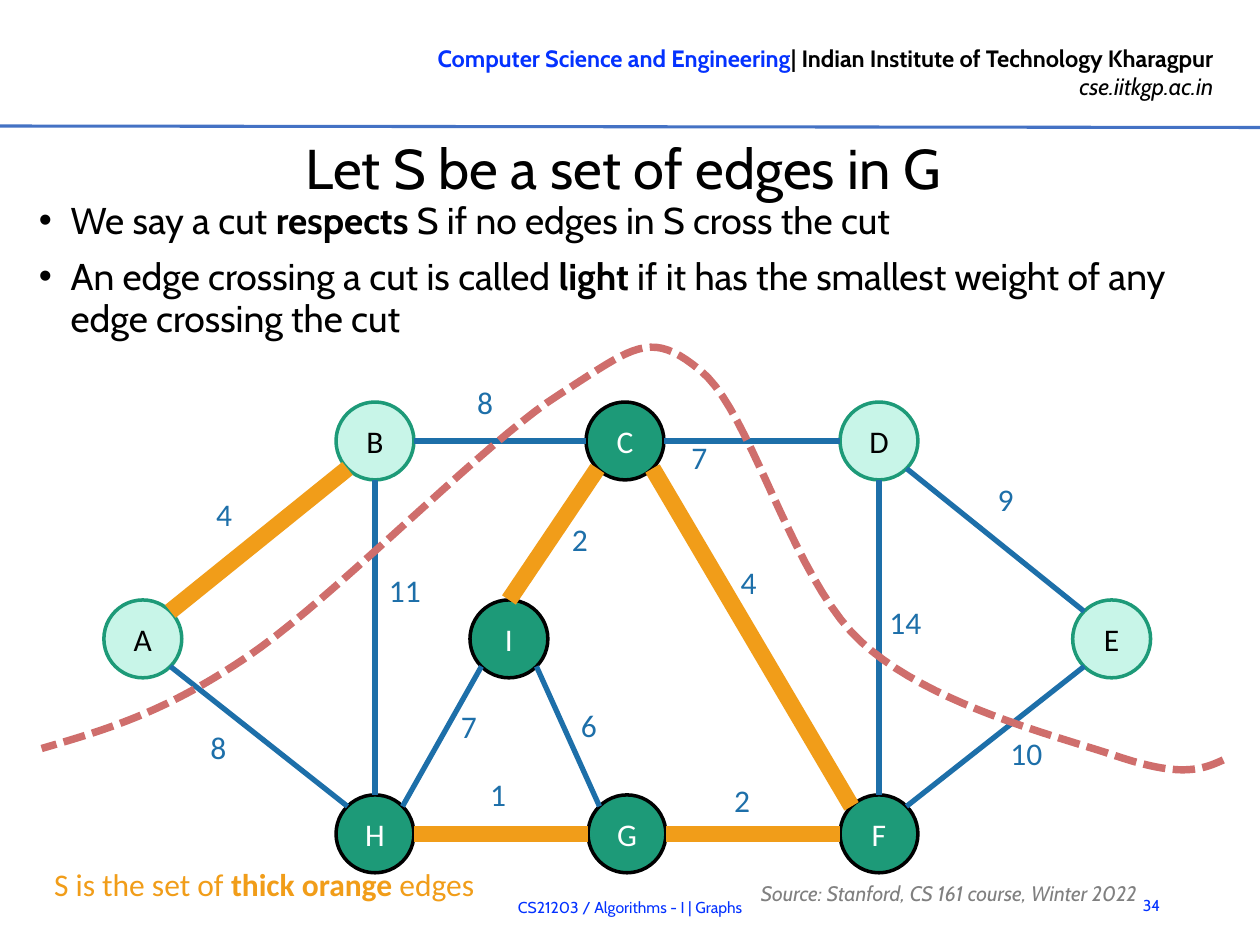
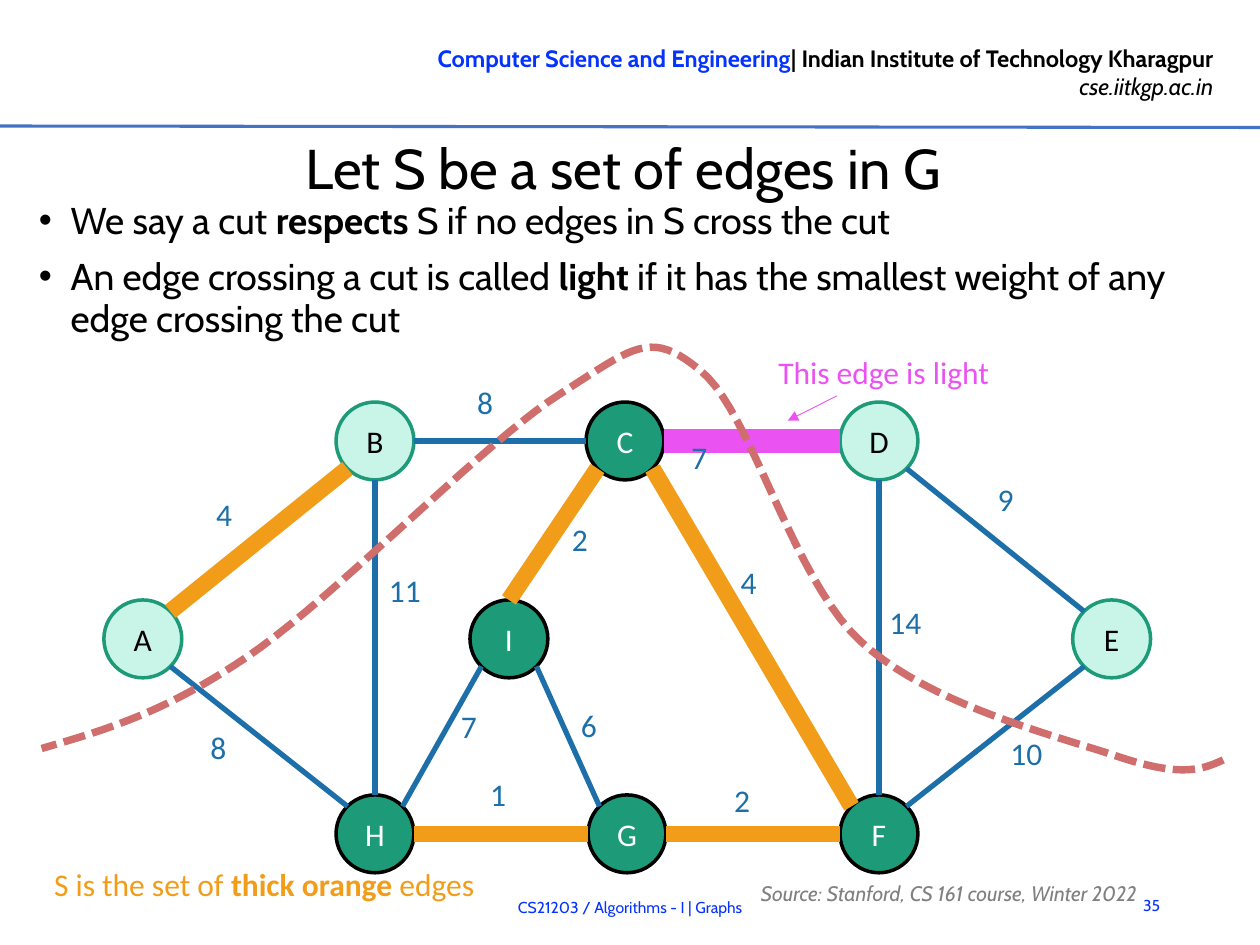
from lxml import etree
from pptx import Presentation
from pptx.dml.color import RGBColor
from pptx.enum.dml import MSO_LINE
from pptx.enum.shapes import MSO_CONNECTOR, MSO_SHAPE
from pptx.enum.text import MSO_ANCHOR, MSO_AUTO_SIZE, PP_ALIGN
from pptx.oxml.ns import qn
from pptx.util import Cm, Pt

LEFT, CENTER, RIGHT = PP_ALIGN.LEFT, PP_ALIGN.CENTER, PP_ALIGN.RIGHT
TOP, MIDDLE = MSO_ANCHOR.TOP, MSO_ANCHOR.MIDDLE
STRAIGHT, OVAL, DASHED = MSO_CONNECTOR.STRAIGHT, MSO_SHAPE.OVAL, MSO_LINE.SQUARE_DOT
FIXED_SIZE = MSO_AUTO_SIZE.NONE

COLORS = {
    name: RGBColor.from_string(value)
    for name, value in {
        "black": "000000",
        "white": "FFFFFF",
        "link": "0432FF",
        "rule": "4472C4",
        "gray": "808080",
        "mint": "C8F5E8",
        "green": "1D9A78",
        "edge": "1D6FA9",
        "orange": "F19D19",
        "pink": "EA53F1",
        "cut": "CF6E6C",
    }.items()
}

RADIUS = 0.785
DIAGONAL = RADIUS * 0.707
SITES = {
    "n": (0, -RADIUS), "s": (0, RADIUS), "w": (-RADIUS, 0), "e": (RADIUS, 0),
    "nw": (-DIAGONAL, -DIAGONAL), "ne": (DIAGONAL, -DIAGONAL),
    "sw": (-DIAGONAL, DIAGONAL), "se": (DIAGONAL, DIAGONAL),
}
NODES = {
    "D": (17.72, 8.89), "C": (12.6, 8.89), "B": (7.56, 8.89),
    "A": (2.88, 12.88), "H": (7.56, 16.81), "G": (12.64, 16.81),
    "F": (17.72, 16.81), "I": (10.26, 12.88), "E": (22.41, 12.88),
}
LIGHT_SIDE = "ABDE"
EDGES = [
    ("C", "se", "F", "nw", "4", 14.68, 11.23),
    ("C", "e", "D", "w", "7", 13.69, 8.71),
    ("E", "nw", "D", "se", "9", 19.86, 9.55),
    ("E", "sw", "F", "ne", "10", 20.12, 14.68),
    ("D", "s", "F", "n", "14", 17.68, 12.04),
    ("I", "se", "G", "nw", "6", 11.46, 14.1),
    ("G", "e", "F", "w", "2", 14.55, 15.62),
    ("I", "n", "C", "sw", "2", 11.28, 10.36),
    ("B", "e", "C", "w", "8", 9.37, 7.59),
    ("A", "ne", "B", "sw", "4", 4.11, 9.86),
    ("A", "se", "H", "nw", "8", 3.99, 14.55),
    ("G", "w", "H", "e", "1", 9.63, 15.49),
    ("I", "sw", "H", "ne", "7", 9.04, 14.12),
    ("H", "n", "B", "s", "11", 7.59, 11.38),
]
THICK_EDGES = {"CF", "GF", "IC", "AB", "GH"}
CUT_START = (24.66, 15.32)
CUT_CURVES = [
    ((24.18, 15.55), (23.72, 15.65), (22.5, 15.24)),
    ((21.29, 14.83), (18.75, 14.22), (17.35, 12.93)),
    ((15.95, 11.63), (15.14, 8.28), (14.12, 7.47)),
    ((13.11, 6.63), (12.78, 6.99), (11.28, 7.95)),
    ((9.75, 8.92), (6.76, 12.04), (5, 13.23)),
    ((3.28, 14.4), (2.06, 14.73), (0.84, 15.09)),
]
CURVE_STEPS = 20


def write(page, text, at, box=None, size=18, color="edge", font="Calibri", align=LEFT,
          anchor=TOP, italic=False, spacing=None, gap=0, bullets=False, margins=True):
    if box is None:
        box = page.shapes.add_textbox(0, 0, 0, 0)
    box.left, box.top, box.width, box.height = [Cm(length) for length in at]
    frame = box.text_frame
    frame.word_wrap = True
    frame.auto_size = FIXED_SIZE
    frame.vertical_anchor = anchor
    if not margins:
        frame.margin_left = frame.margin_right = frame.margin_top = frame.margin_bottom = 0
    for index, line in enumerate(text.split("\n")):
        para = frame.add_paragraph() if index else frame.paragraphs[0]
        if bullets:
            properties = para._p.get_or_add_pPr()
            properties.set("marL", str(Cm(0.64)))
            properties.set("indent", str(-Cm(0.64)))
            etree.SubElement(properties, qn("a:buFont"), typeface="Arial")
            etree.SubElement(properties, qn("a:buChar"), char="•")
        para.alignment = align
        para.space_before = Pt(gap if index else 0)
        para.space_after = Pt(gap)
        if spacing:
            para.line_spacing = Pt(spacing)
        for position, piece in enumerate(line.split("*")):
            if piece:
                span = para.add_run()
                span.text = piece
                span.font.name = font
                span.font.size = Pt(size)
                span.font.bold = position % 2 == 1
                span.font.italic = italic
                span.font.color.rgb = COLORS[color]
    return box


def draw_line(page, start, end, color, width):
    connector = page.shapes.add_connector(STRAIGHT, *[Cm(value) for value in (*start, *end)])
    connector.line.color.rgb = COLORS[color]
    connector.line.width = Pt(width)
    etree.SubElement(connector._element.spPr, qn("a:effectLst"))
    return connector


deck = Presentation()
deck.slide_width, deck.slide_height = Cm(25.4), Cm(19.05)

for number, shows_light_edge in ((34, False), (35, True)):
    page = deck.slides.add_slide(deck.slide_layouts[1])
    title, body = page.placeholders

    header = write(
        page,
        "*Computer Science and Engineering**| Indian Institute of Technology Kharagpur*\n"
        "cse.iitkgp.ac.in",
        (6.73, 0.76, 17.98, 1.42), size=13.5, color="black", font="Cabin", align=RIGHT)
    department, address = header.text_frame.paragraphs
    department.runs[0].font.color.rgb = COLORS["link"]
    address.runs[0].font.italic = True
    draw_line(page, (0, 2.54), (25.4, 2.57), "rule", 1.75)

    write(page, str(number), (22.4, 17.73, 1.24, 1.02), size=9, color="link",
          font="Cabin", align=RIGHT, anchor=MIDDLE)
    write(page, "Let S be a set of edges in G", (0.81, 2.67, 23.52, 1.4), box=title, size=32,
          color="black", font="Cabin", align=CENTER, anchor=MIDDLE, margins=False)
    write(page, "CS21203 / Algorithms - I | Graphs", (4.19, 17.78, 17.02, 1.02), size=9,
          color="link", font="Cabin", align=CENTER, anchor=MIDDLE)
    write(page,
          "We say a cut *respects* S if no edges in S cross the cut\n"
          "An edge crossing a cut is called *light* if it has the smallest weight "
          "of any edge crossing the cut",
          (0.53, 3.91, 23.8, 3.1), box=body, size=21.3, color="black", font="Cabin",
          spacing=24, gap=4, bullets=True)
    write(page, "Source: Stanford, CS 161 course, Winter 2022", (15.09, 17.6, 10.21, 0.58),
          size=12, color="gray", font="Cabin", anchor=MIDDLE, italic=True, spacing=21.3)
    write(page, "S is the set of *thick orange* edges", (0.84, 17.32, 11.23, 1.27),
          color="orange")

    for name, (x, y) in NODES.items():
        is_light = name in LIGHT_SIDE
        node = page.shapes.add_shape(OVAL, 0, 0, 0, 0)
        node.shadow.inherit = False
        node.fill.solid()
        node.fill.fore_color.rgb = COLORS["mint" if is_light else "green"]
        node.line.color.rgb = COLORS["green" if is_light else "black"]
        node.line.width = Pt(2)
        write(page, name, (x - RADIUS, y - RADIUS, 2 * RADIUS, 2 * RADIUS), box=node,
              color="black" if is_light else "white", align=CENTER, anchor=MIDDLE)

    for source, source_site, target, target_site, weight, label_x, label_y in EDGES:
        start, end = [
            [center + offset for center, offset in zip(NODES[name], SITES[site])]
            for name, site in ((source, source_site), (target, target_site))
        ]
        color, width = ("orange", 9.5) if source + target in THICK_EDGES else ("edge", 3)
        if shows_light_edge and source + target == "CD":
            color, width = "pink", 14
        draw_line(page, start, end, color, width)
        write(page, weight, (label_x, label_y, 2.18, 1.27))

    points = []
    begin = CUT_START
    for first, second, finish in CUT_CURVES:
        for step in range(1, CURVE_STEPS + 1):
            t = step / CURVE_STEPS
            points.append([
                Cm((1 - t) ** 3 * a + 3 * (1 - t) ** 2 * t * b + 3 * (1 - t) * t ** 2 * c + t ** 3 * d)
                for a, b, c, d in zip(begin, first, second, finish)
            ])
        begin = finish
    builder = page.shapes.build_freeform(*[Cm(value) for value in CUT_START])
    builder.add_line_segments(points, close=False)
    cut = builder.convert_to_shape()
    cut.shadow.inherit = False
    cut.fill.background()
    cut.line.color.rgb = COLORS["cut"]
    cut.line.width = Pt(4.25)
    cut.line.dash_style = DASHED

    if shows_light_edge:
        write(page, "This edge is light", (15.44, 6.99, 5.54, 1.02), color="pink")
        arrow = draw_line(page, (16.87, 7.98), (15.88, 8.48), "pink", 0.5)
        etree.SubElement(arrow.line._get_or_add_ln(), qn("a:tailEnd"), type="triangle")

deck.save("out.pptx")
